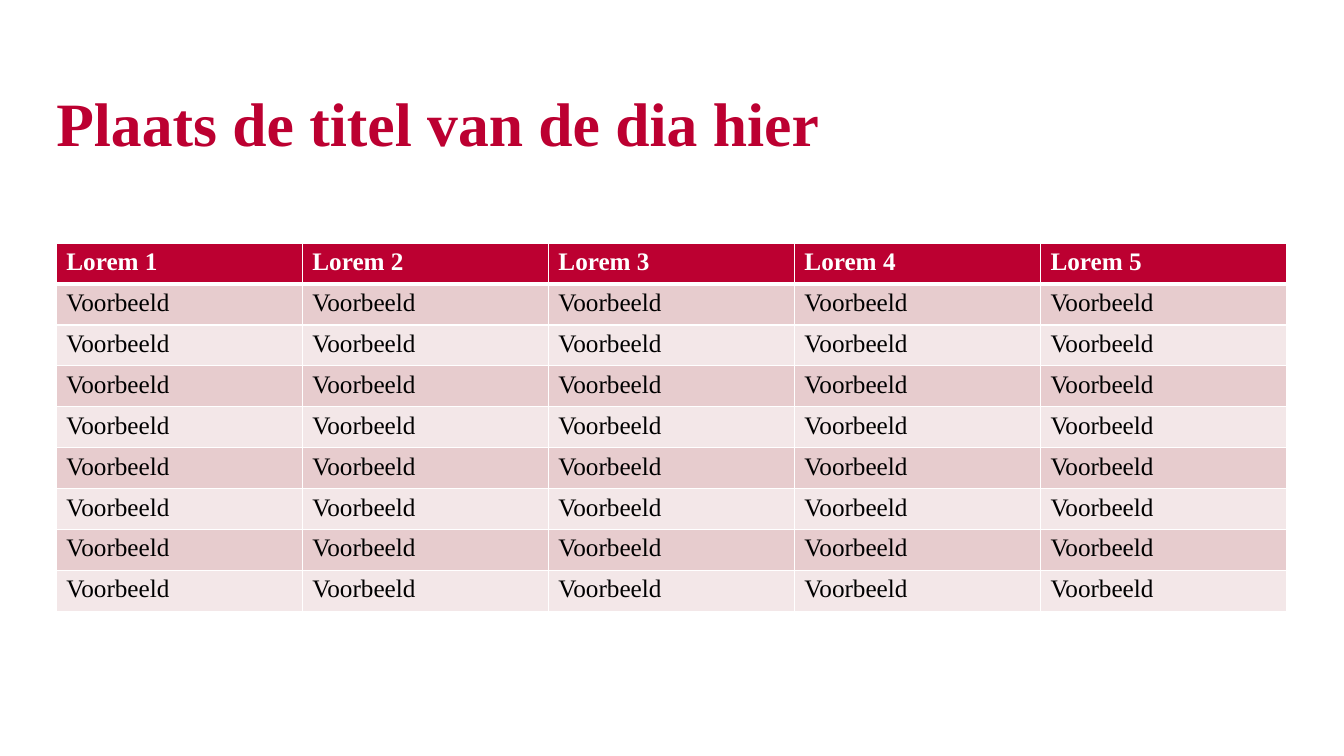
from dataclasses import dataclass

from lxml import etree
from pptx import Presentation
from pptx.dml.color import RGBColor
from pptx.enum.text import MSO_ANCHOR, MSO_AUTO_SIZE, PP_ALIGN
from pptx.oxml.ns import qn
from pptx.util import Cm, Pt

MIDDLE = MSO_ANCHOR.MIDDLE
NO_FIT = MSO_AUTO_SIZE.NONE
LEFT = PP_ALIGN.LEFT

TITLE = "Plaats de titel van de dia hier"
HEADS = [f"Lorem {n}" for n in range(1, 6)]
BODY = [["Voorbeeld"] * len(HEADS) for _ in range(8)]
ROWS = [HEADS] + BODY


@dataclass(frozen=True)
class Theme:
    font: str = "Times New Roman"
    red: str = "BC0031"
    white: str = "FFFFFF"
    black: str = "000000"
    bands: tuple = ("E7CCCE", "F3E7E8")
    title: int = 44
    text: int = 18
    thin: int = 1
    thick: int = 3


THEME = Theme()
EDGE, WIDTH = Cm(1.42), Cm(31)
TITLE_TOP, TITLE_HIGH = Cm(1.98), Cm(2.42)
GRID_TOP, ROW_HIGH = Cm(6.13), Cm(1.03)


def set_all(item, values):
    for name, value in values.items():
        setattr(item, name, value)


def set_font(par, size, color, bold):
    font = par.runs[0].font
    set_all(font, {"name": THEME.font, "size": Pt(size), "bold": bold})
    font.color.rgb = RGBColor.from_string(color)


def add_edges(cell, widths):
    """Draw white cell borders; widths maps L, R, T and B to points."""
    props = cell._tc.get_or_add_tcPr()
    for side, points in widths.items():
        line = etree.SubElement(props, qn(f"a:ln{side}"), w=str(Pt(points)))
        fill = etree.SubElement(line, qn("a:solidFill"))
        etree.SubElement(fill, qn("a:srgbClr"), val=THEME.white)


def add_title(slide):
    title = slide.shapes.title
    set_all(title, {"left": EDGE, "top": TITLE_TOP,
                    "width": WIDTH, "height": TITLE_HIGH})
    frame = title.text_frame
    frame.text = TITLE
    set_all(frame, {"margin_left": 0, "margin_right": 0, "margin_top": 0,
                    "margin_bottom": 0, "vertical_anchor": MIDDLE,
                    "word_wrap": True, "auto_size": NO_FIT})
    par = frame.paragraphs[0]
    set_all(par, {"alignment": LEFT, "line_spacing": 0.9})
    set_font(par, THEME.title, THEME.red, True)


def add_grid(slide):
    table = slide.shapes.add_table(
        len(ROWS), len(HEADS), EDGE, GRID_TOP, WIDTH, ROW_HIGH * len(ROWS)
    ).table
    for r, row in enumerate(ROWS):
        head = r == 0
        back = THEME.red if head else THEME.bands[(r - 1) % 2]
        color = THEME.white if head else THEME.black
        edges = {"L": THEME.thin, "R": THEME.thin,
                 "T": THEME.thick if r == 1 else THEME.thin,
                 "B": THEME.thick if head else THEME.thin}
        for c, text in enumerate(row):
            cell = table.cell(r, c)
            cell.text = text
            set_font(cell.text_frame.paragraphs[0], THEME.text, color, head)
            add_edges(cell, edges)
            cell.fill.solid()
            cell.fill.fore_color.rgb = RGBColor.from_string(back)


def main():
    deck = Presentation()
    set_all(deck, {"slide_width": Cm(33.87), "slide_height": Cm(19.05)})
    slide = deck.slides.add_slide(deck.slide_layouts.get_by_name("Title Only"))
    add_title(slide)
    add_grid(slide)
    deck.save("out.pptx")


if __name__ == "__main__":
    main()
